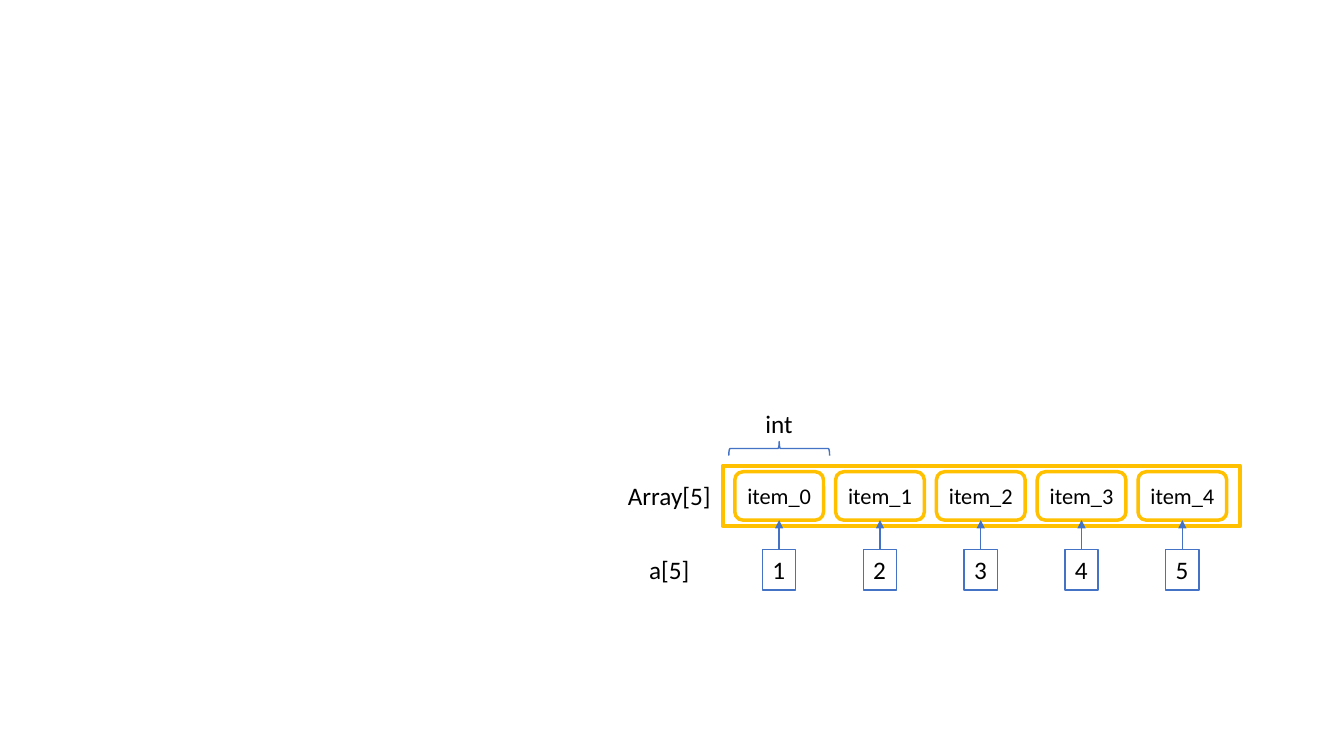
from dataclasses import dataclass

from pptx import Presentation
from pptx.dml.color import RGBColor
from pptx.enum.shapes import MSO_CONNECTOR, MSO_SHAPE
from pptx.enum.text import MSO_ANCHOR, MSO_AUTO_SIZE, PP_ALIGN
from pptx.oxml.ns import qn
from pptx.util import Pt

ITEMS = ["item_0", "item_1", "item_2", "item_3", "item_4"]
VALUES = ["1", "2", "3", "4", "5"]
TYPE_NAME = "int"
ARRAY_NAME = "Array[5]"
VARIABLE_NAME = "a[5]"


@dataclass(frozen=True)
class Theme:
    gold: RGBColor = RGBColor(0xFF, 0xC0, 0x00)
    blue: RGBColor = RGBColor(0x44, 0x72, 0xC4)
    ink: RGBColor = RGBColor(0, 0, 0)
    font: str = "Calibri"
    item_size: int = 16
    label_size: int = 18
    frame_line: float = 3
    item_line: float = 2.5
    thin_line: float = 1


THEME = Theme()

# Lengths in points
PITCH = 72
FIRST_CENTER = 556.56
ARRAY_LEFT, ARRAY_TOP, ARRAY_WIDTH, ARRAY_HEIGHT = 516.24, 332.64, 369.36, 43.2
ITEM_TOP, ITEM_WIDTH, ITEM_HEIGHT = 336.96, 63.36, 34.56
VALUE_TOP, VALUE_WIDTH = 392.4, 23.76
LABEL_HEIGHT = 29.08
LABEL_CENTER = 478.5
BRACE_DEPTH, BRACE_MIDDLE = 10.08, 320.4


def write(shape, text, size, frame_format):
    frame = shape.text_frame
    for name, value in frame_format.items():
        setattr(frame, name, value)
    para = frame.paragraphs[0]
    span = para.add_run()
    span.text = text
    font_format = {"name": THEME.font, "size": Pt(size)}
    for name, value in font_format.items():
        setattr(span.font, name, value)
    span.font.color.rgb = THEME.ink
    return para


def add_outline(page, kind, bounds, color, weight):
    shape = page.shapes.add_shape(kind, *map(Pt, bounds))
    shape.shadow.inherit = False
    shape.fill.background()
    shape.line.color.rgb = color
    shape.line.width = Pt(weight)
    return shape


def add_label(page, text, center, top, width):
    box = page.shapes.add_textbox(
        Pt(center - width / 2), Pt(top), Pt(width), Pt(LABEL_HEIGHT))
    label_format = {"word_wrap": False,
                    "auto_size": MSO_AUTO_SIZE.SHAPE_TO_FIT_TEXT}
    write(box, text, THEME.label_size, label_format)
    return box


def add_item(page, text, center):
    bounds = (center - ITEM_WIDTH / 2, ITEM_TOP, ITEM_WIDTH, ITEM_HEIGHT)
    item = add_outline(page, MSO_SHAPE.ROUNDED_RECTANGLE, bounds,
                       THEME.gold, THEME.item_line)
    item_format = {"word_wrap": True, "vertical_anchor": MSO_ANCHOR.MIDDLE,
                   "margin_left": 0, "margin_right": 0}
    write(item, text, THEME.item_size, item_format).alignment = PP_ALIGN.CENTER
    return item


def add_value(page, text, center):
    value = add_label(page, text, center, VALUE_TOP, VALUE_WIDTH)
    value.line.color.rgb = THEME.blue
    value.line.width = Pt(THEME.thin_line)
    return value


def add_arrow(page, value, item):
    arrow = page.shapes.add_connector(MSO_CONNECTOR.STRAIGHT, 0, 0, 0, 0)
    arrow.begin_connect(value, 0)
    arrow.end_connect(item, 2)
    arrow.line.color.rgb = THEME.blue
    arrow.line.width = Pt(THEME.thin_line)
    line = arrow.line._get_or_add_ln()
    line.append(line.makeelement(qn("a:tailEnd"), {"type": "triangle"}))
    properties = arrow._element.spPr
    properties.append(properties.makeelement(qn("a:effectLst"), {}))


def main():
    deck = Presentation()
    deck.slide_width, deck.slide_height = Pt(960), Pt(540)
    page = deck.slides.add_slide(deck.slide_layouts[6])

    array_bounds = (ARRAY_LEFT, ARRAY_TOP, ARRAY_WIDTH, ARRAY_HEIGHT)
    add_outline(page, MSO_SHAPE.RECTANGLE, array_bounds,
                THEME.gold, THEME.frame_line)
    for index, (item_text, value_text) in enumerate(zip(ITEMS, VALUES)):
        center = FIRST_CENTER + index * PITCH
        item = add_item(page, item_text, center)
        value = add_value(page, value_text, center)
        add_arrow(page, value, item)

    add_label(page, ARRAY_NAME, LABEL_CENTER, 339.84, 74.16)
    add_label(page, VARIABLE_NAME, LABEL_CENTER, VALUE_TOP, 43.92)
    add_label(page, TYPE_NAME, FIRST_CENTER, 288, 33.84)

    brace_bounds = (FIRST_CENTER - BRACE_DEPTH / 2, BRACE_MIDDLE - PITCH / 2,
                    BRACE_DEPTH, PITCH)
    brace = add_outline(page, MSO_SHAPE.LEFT_BRACE, brace_bounds,
                        THEME.blue, THEME.thin_line)
    brace.rotation = 90

    deck.save("out.pptx")


if __name__ == "__main__":
    main()
